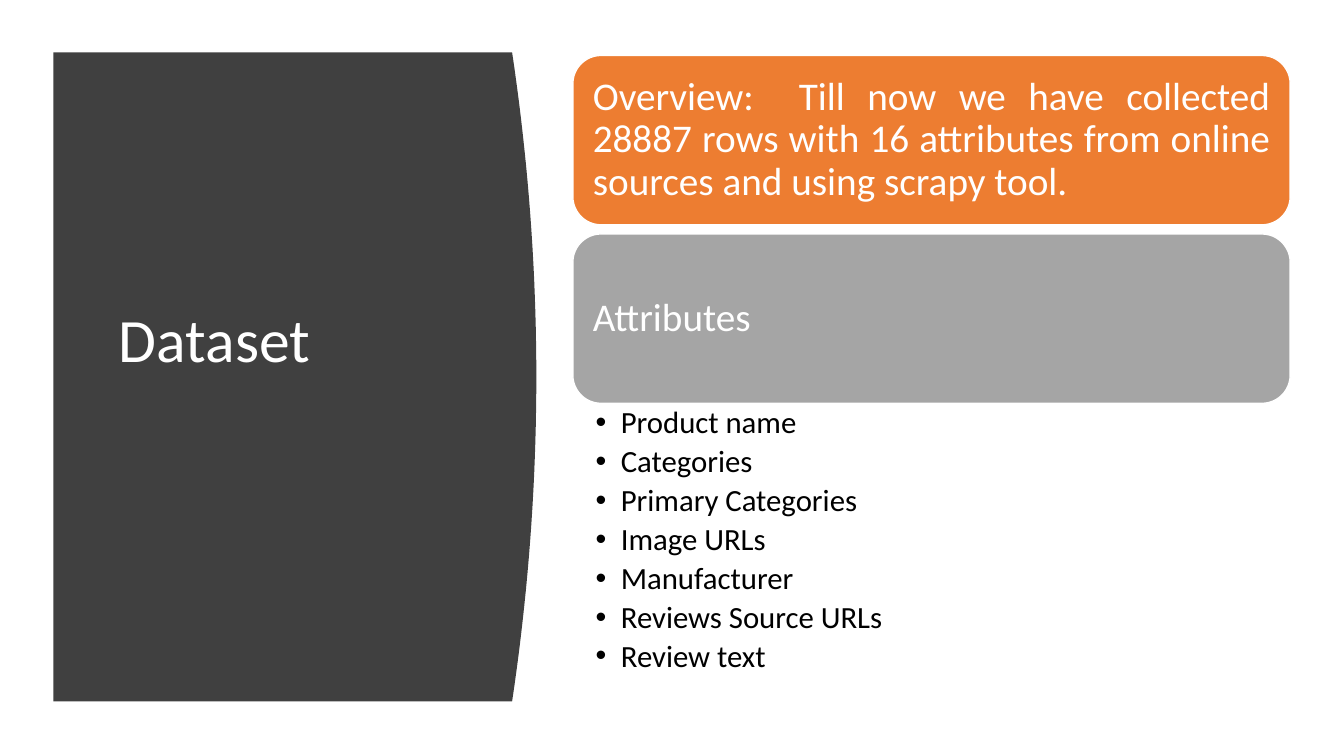
from lxml import etree
from pptx import Presentation
from pptx import util as u
from pptx.dml.color import RGBColor
from pptx.enum import shapes, text
from pptx.oxml.ns import qn

FONT = "Calibri"
WHITE, BLACK, CHARCOAL = "FFFFFF", "000000", "404040"
ORANGE, GREY = "ED7D31", "A5A5A5"
OVERVIEW = ("Overview:  Till now we have collected 28887 rows with 16 attributes "
            "from online sources and using scrapy tool.")
ATTRIBUTES = ["Product name", "Categories", "Primary Categories", "Image URLs",
              "Manufacturer", "Reviews Source URLs", "Review text"]


def color(hex_value):
    """Turn a hex string into a colour."""
    return RGBColor.from_string(hex_value)


def apply(target, formats):
    """Set every attribute named in a dict of format values."""
    for name, value in formats.items():
        setattr(target, name, value)


def paint(shape, fill, line=None):
    """Give a shape a flat fill and an optional one-point outline."""
    shape.shadow.inherit = False
    shape.fill.solid()
    shape.fill.fore_color.rgb = color(fill)
    if line:
        shape.line.color.rgb = color(line)
        shape.line.width = u.Pt(1)
    else:
        shape.line.fill.background()


def write(shape, lines, size, hex_value, margins, anchor, **paragraph_formats):
    """Fill a shape with paragraphs; margins are left, top, right, bottom."""
    frame = shape.text_frame
    sides = ("margin_left", "margin_top", "margin_right", "margin_bottom")
    apply(frame, {"word_wrap": True, "vertical_anchor": anchor})
    apply(frame, {side: u.Pt(margin) for side, margin in zip(sides, margins)})
    formats = {"alignment": text.PP_ALIGN.LEFT, "line_spacing": 0.9, **paragraph_formats}
    for index, line in enumerate(lines):
        paragraph = frame.paragraphs[0] if index == 0 else frame.add_paragraph()
        apply(paragraph, formats)
        run = paragraph.add_run()
        run.text = line
        apply(run.font, {"name": FONT, "size": u.Pt(size)})
        run.font.color.rgb = color(hex_value)


def add_bullets(shape, indent):
    """Put a hanging round bullet before each paragraph of a shape."""
    for paragraph in shape.text_frame.paragraphs:
        properties = paragraph._p.get_or_add_pPr()
        properties.set("marL", str(u.Pt(indent)))
        properties.set("indent", str(-u.Pt(indent)))
        etree.SubElement(properties, qn("a:buFont")).set("typeface", "Arial")
        etree.SubElement(properties, qn("a:buChar")).set("char", "•")


def add_title_panel(slide, left, top, width, height):
    """Draw the dark panel with its bowed right edge and the title."""
    bulge, steps = 17.3, 40
    edge = []
    for step in range(steps + 1):
        offset = 2 * step / steps - 1
        edge.append((u.Pt(left + width - bulge * offset ** 2),
                     u.Pt(top + height * step / steps)))
    builder = slide.shapes.build_freeform(u.Pt(left), u.Pt(top))
    builder.add_line_segments(edge + [(u.Pt(left), u.Pt(top + height))], close=True)
    paint(builder.convert_to_shape(), CHARCOAL)

    title = slide.shapes.add_textbox(u.Pt(left + 29.5), u.Pt(top + 42.5),
                                     u.Pt(269.3), u.Pt(height - 85.7))
    write(title, ["Dataset"], 44, WHITE, (17.2, 3.6, 7.2, 52), text.MSO_ANCHOR.MIDDLE)


def add_card(slide, left, top, width, height, fill, line, alignment):
    """Draw a rounded card holding one text."""
    card = slide.shapes.add_shape(shapes.MSO_SHAPE.ROUNDED_RECTANGLE,
                                  u.Pt(left), u.Pt(top), u.Pt(width), u.Pt(height))
    paint(card, fill, WHITE)
    write(card, [line], 28, WHITE, (8.4,) * 4, text.MSO_ANCHOR.MIDDLE, alignment=alignment)


def add_content(slide, left, top, width, height):
    """Stack the two cards and the attribute list."""
    card_height, pitch = 121, 127.5
    cards = [(ORANGE, OVERVIEW, text.PP_ALIGN.JUSTIFY),
             (GREY, "Attributes", text.PP_ALIGN.LEFT)]
    for index, card in enumerate(cards):
        add_card(slide, left, top + index * pitch, width, card_height, *card)
    list_offset = pitch + card_height
    bullets = slide.shapes.add_textbox(u.Pt(left), u.Pt(top + list_offset),
                                       u.Pt(width), u.Pt(height - list_offset))
    write(bullets, ATTRIBUTES, 22, BLACK, (16.3, 2.9, 15.8, 2.9),
          text.MSO_ANCHOR.TOP, space_after=u.Pt(4))
    add_bullets(bullets, 18)


def main():
    """Build and save the dataset slide."""
    presentation = Presentation()
    apply(presentation, {"slide_width": u.Pt(960), "slide_height": u.Pt(540)})
    slide = presentation.slides.add_slide(presentation.slide_layouts[6])
    add_title_panel(slide, 38.2, 37.4, 344.9, 463.7)
    add_content(slide, 409.2, 39.6, 512.4, 458.6)
    presentation.save("out.pptx")


if __name__ == "__main__":
    main()
